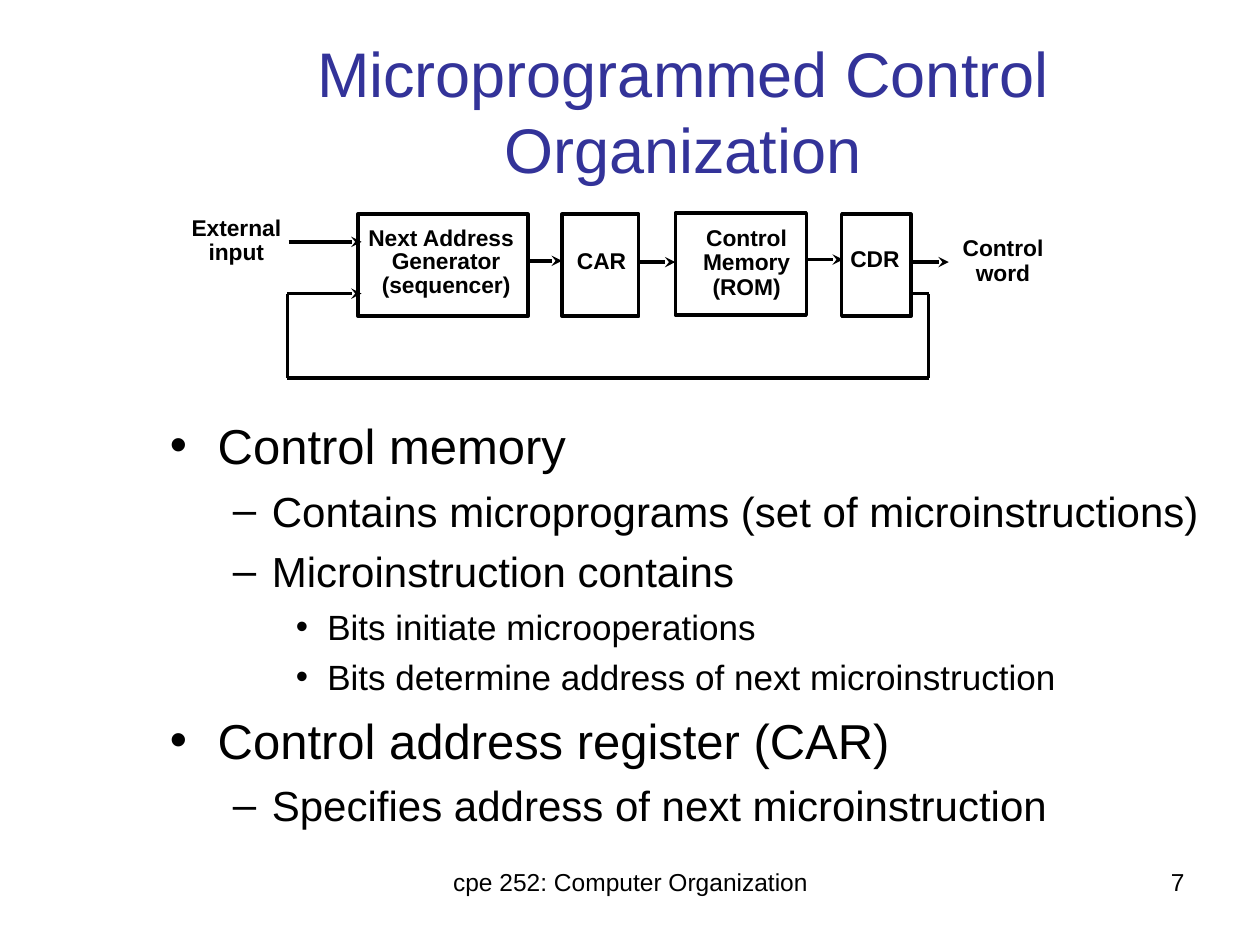
from pptx import Presentation
from pptx import util as u
from pptx.dml.color import RGBColor
from pptx.enum import shapes, text
from pptx.oxml.ns import qn
from lxml import etree

BLACK = RGBColor(0x00, 0x00, 0x00)
WHITE = RGBColor(0xFF, 0xFF, 0xFF)
INDIGO = RGBColor(0x33, 0x33, 0x99)
LEFT, CENTER, RIGHT = text.PP_ALIGN.LEFT, text.PP_ALIGN.CENTER, text.PP_ALIGN.RIGHT

deck = Presentation()
deck.slide_width, deck.slide_height = u.Inches(10), u.Inches(7.5)
page = deck.slides.add_slide(deck.slide_layouts[5])


def add_span(para, words, size, color=BLACK, bold=False):
    span = para.add_run()
    span.text = words
    span.font.name = "Arial"
    span.font.size = u.Pt(size)
    span.font.bold = bold
    span.font.color.rgb = color


def add_text(place, lines, size, align, bold=False, wrap=True, spacing=1.0):
    box = page.shapes.add_textbox(*map(u.Inches, place))
    box.text_frame.word_wrap = wrap
    for index, words in enumerate(lines):
        para = box.text_frame.add_paragraph() if index else box.text_frame.paragraphs[0]
        para.alignment = align
        para.line_spacing = spacing
        add_span(para, words, size, bold=bold)
    return box


title = page.shapes.title
title.left, title.top = u.Inches(1.17), u.Inches(0.25)
title.width, title.height = u.Inches(8.5), u.Inches(1.25)
title.text_frame.word_wrap = True
title.text_frame.auto_size = text.MSO_AUTO_SIZE.NONE
title.text_frame.vertical_anchor = text.MSO_ANCHOR.MIDDLE
title.text_frame.paragraphs[0].alignment = CENTER
add_span(title.text_frame.paragraphs[0], "Microprogrammed Control Organization", 36, INDIGO)

add_text((3.42, 6.83, 3.17, 0.52), ["cpe 252: Computer Organization"], 14, CENTER)
add_text((7.17, 6.83, 2.33, 0.52), ["7"], 14, RIGHT)

levels = [
    (28, 7, 0.38, 0.38, "•"),
    (24, 6, 0.81, 0.31, "–"),
    (20, 5, 1.25, 0.25, "•"),
]
outline = [
    (0, "Control memory"),
    (1, "Contains microprograms (set of microinstructions)"),
    (1, "Microinstruction contains"),
    (2, "Bits initiate microoperations"),
    (2, "Bits determine address of next microinstruction"),
    (0, "Control address register (CAR)"),
    (1, "Specifies address of next microinstruction"),
]
body = page.shapes.add_textbox(u.Inches(1.25), u.Inches(3.25), u.Inches(8.5), u.Inches(3.5))
body.text_frame.word_wrap = True
for index, (level, words) in enumerate(outline):
    size, before, margin, hanging, mark = levels[level]
    para = body.text_frame.add_paragraph() if index else body.text_frame.paragraphs[0]
    para.level = level
    para.space_before = u.Pt(before)
    add_span(para, words, size)
    properties = para._p.get_or_add_pPr()
    properties.set("marL", str(u.Inches(margin)))
    properties.set("indent", str(-u.Inches(hanging)))
    etree.SubElement(properties, qn("a:buFont")).set("typeface", "Arial")
    etree.SubElement(properties, qn("a:buChar")).set("char", mark)

blocks = [
    (2.84, 1.7, 1.35),
    (4.46, 1.7, 0.61),
    (5.36, 1.69, 1.04),
    (6.68, 1.7, 0.55),
]
for left, top, width in blocks:
    block = page.shapes.add_shape(
        shapes.MSO_SHAPE.RECTANGLE, *map(u.Inches, (left, top, width, 0.81)))
    block.shadow.inherit = False
    block.fill.solid()
    block.fill.fore_color.rgb = WHITE
    block.line.color.rgb = BLACK
    block.line.width = u.Pt(2)

labels = [
    ((1.42, 1.67, 0.91, 0.49), ["External", "input"], CENTER),
    ((2.82, 1.75, 1.36, 0.29), ["Next Address"], CENTER),
    ((2.93, 1.93, 1.22, 0.49), ["Generator", "(sequencer)"], CENTER),
    ((4.48, 1.93, 0.59, 0.29), ["CAR"], LEFT),
    ((5.48, 1.75, 0.89, 0.68), ["Control", "Memory", "(ROM)"], CENTER),
    ((6.65, 1.92, 0.59, 0.29), ["CDR"], LEFT),
    ((7.54, 1.83, 0.84, 0.49), ["Control", "word"], CENTER),
]
for place, lines, align in labels:
    label = add_text(place, lines, 13, align, bold=True, wrap=False, spacing=0.9)
    label.text_frame.auto_size = text.MSO_AUTO_SIZE.SHAPE_TO_FIT_TEXT

wires = [
    (2.29, 1.92, 2.87, 1.92, 2, True),
    (4.19, 2.07, 4.46, 2.07, 2, True),
    (5.07, 2.08, 5.36, 2.08, 2, True),
    (6.4, 2.06, 6.69, 2.06, 2, True),
    (7.23, 2.08, 7.53, 2.08, 2, True),
    (7.23, 2.33, 7.37, 2.33, 1.5, False),
    (7.37, 2.33, 7.37, 3, 1.5, False),
    (2.28, 3, 7.37, 3, 2, False),
    (2.28, 2.33, 2.28, 3, 1.5, False),
    (2.28, 2.33, 2.87, 2.33, 2, True),
]
for *ends, weight, arrow in wires:
    wire = page.shapes.add_connector(shapes.MSO_CONNECTOR.STRAIGHT, *map(u.Inches, ends))
    wire.line.color.rgb = BLACK
    wire.line.width = u.Pt(weight)
    if arrow:
        etree.SubElement(wire.line._get_or_add_ln(), qn("a:tailEnd")).set("type", "stealth")
    etree.SubElement(wire._element.spPr, qn("a:effectLst"))

deck.save("out.pptx")
